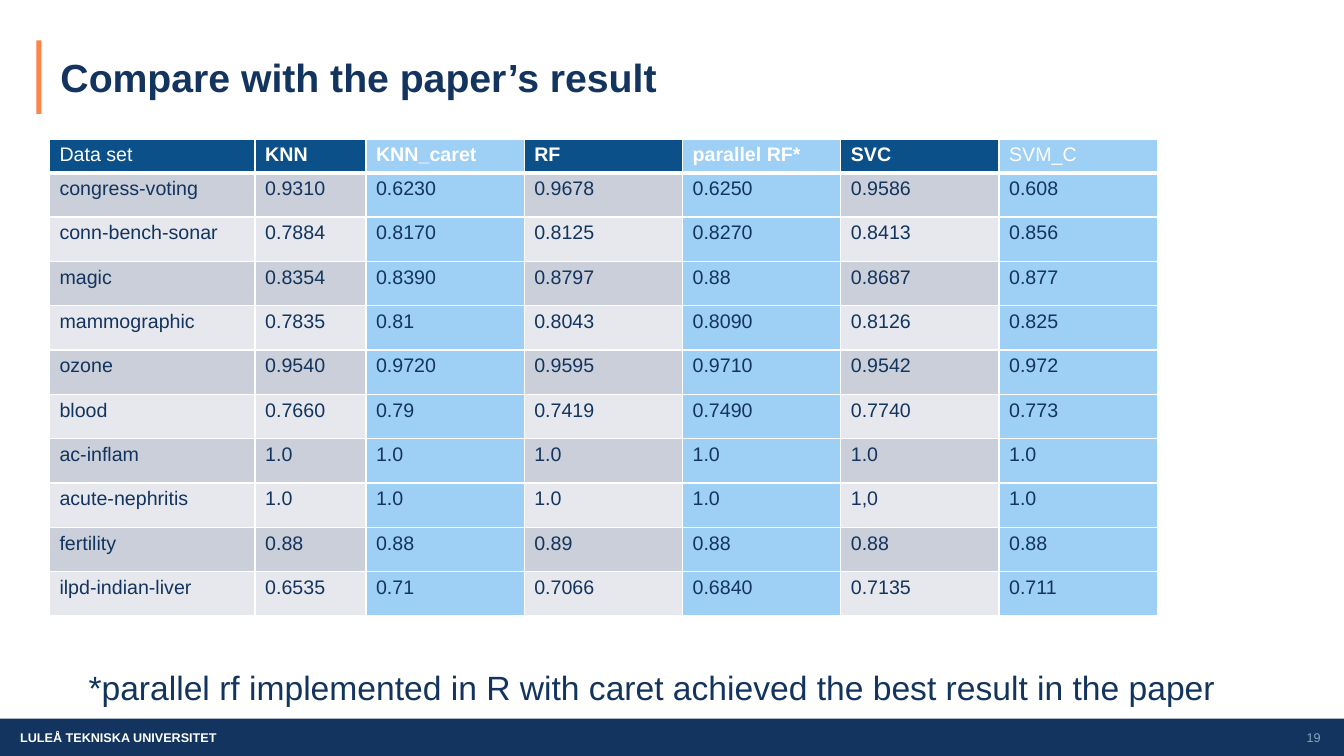
from lxml.etree import SubElement
from pptx import Presentation
from pptx.dml.color import RGBColor
from pptx.enum.shapes import MSO_SHAPE
from pptx.enum.text import MSO_ANCHOR, PP_ALIGN
from pptx.oxml.ns import qn
from pptx.util import Inches, Pt

NAVY = RGBColor(0x13, 0x34, 0x5E)
ORANGE = RGBColor(0xFF, 0x82, 0x47)
WHITE = RGBColor(0xFF, 0xFF, 0xFF)
PAGE_GREY = RGBColor(0x88, 0xA5, 0xBD)
HEADER_BLUE = RGBColor(0x0C, 0x50, 0x89)
OWN_RESULT_BLUE = RGBColor(0x9E, 0xCF, 0xF5)
BANDS = (RGBColor(0xCA, 0xCF, 0xD9), RGBColor(0xE6, 0xE8, 0xED))

HEADERS = ["Data set", "KNN", "KNN_caret", "RF", "parallel RF*", "SVC", "SVM_C"]
LIGHT_HEADERS = {"Data set", "SVM_C"}
OWN_RESULT_COLUMNS = {2, 4, 6}
RESULTS = [
    ["congress-voting", "0.9310", "0.6230", "0.9678", "0.6250", "0.9586", "0.608"],
    ["conn-bench-sonar", "0.7884", "0.8170", "0.8125", "0.8270", "0.8413", "0.856"],
    ["magic", "0.8354", "0.8390", "0.8797", "0.88", "0.8687", "0.877"],
    ["mammographic", "0.7835", "0.81", "0.8043", "0.8090", "0.8126", "0.825"],
    ["ozone", "0.9540", "0.9720", "0.9595", "0.9710", "0.9542", "0.972"],
    ["blood", "0.7660", "0.79", "0.7419", "0.7490", "0.7740", "0.773"],
    ["ac-inflam", "1.0", "1.0", "1.0", "1.0", "1.0", "1.0"],
    ["acute-nephritis", "1.0", "1.0", "1.0", "1.0", "1,0", "1.0"],
    ["fertility", "0.88", "0.88", "0.89", "0.88", "0.88", "0.88"],
    ["ilpd-indian-liver", "0.6535", "0.71", "0.7066", "0.6840", "0.7135", "0.711"],
]
COLUMN_WIDTHS = [2.04, 1.1] + [1.57] * 5
ROW_HEIGHTS = [0.32] + [0.44] * len(RESULTS)


class SlideBuilder:
    def __init__(self, slide, font_name):
        self.slide = slide
        self.font_name = font_name

    def format_paragraph(self, paragraph, size, color, bold=False):
        font = paragraph.font
        font.name = self.font_name
        font.size = Pt(size)
        font.bold = bold
        font.color.rgb = color

    def add_title(self, text, left, top, width, height):
        title = self.slide.shapes.title
        title.left, title.top = Inches(left), Inches(top)
        title.width, title.height = Inches(width), Inches(height)
        frame = title.text_frame
        frame.text = text
        frame.margin_left = 0
        frame.vertical_anchor = MSO_ANCHOR.MIDDLE
        paragraph = frame.paragraphs[0]
        paragraph.alignment = PP_ALIGN.LEFT
        paragraph.line_spacing = 0.9
        self.format_paragraph(paragraph, 28, NAVY, bold=True)

    def add_bar(self, left, top, width, height, color):
        bar = self.slide.shapes.add_shape(
            MSO_SHAPE.RECTANGLE, Inches(left), Inches(top), Inches(width), Inches(height))
        bar.shadow.inherit = False
        bar.fill.solid()
        bar.fill.fore_color.rgb = color
        bar.line.fill.background()
        return bar

    def add_footer(self, text, left, top, width, height):
        frame = self.add_bar(left, top, width, height, NAVY).text_frame
        frame.text = text
        frame.margin_left = Inches(0.2)
        frame.vertical_anchor = MSO_ANCHOR.MIDDLE
        paragraph = frame.paragraphs[0]
        paragraph.alignment = PP_ALIGN.LEFT
        self.format_paragraph(paragraph, 9, WHITE, bold=True)

    def add_text(self, text, left, top, width, height, size, color,
                 alignment=PP_ALIGN.LEFT, anchor=MSO_ANCHOR.TOP, vertical_margin=0.05):
        box = self.slide.shapes.add_textbox(
            Inches(left), Inches(top), Inches(width), Inches(height))
        frame = box.text_frame
        frame.word_wrap = True
        frame.text = text
        frame.vertical_anchor = anchor
        frame.margin_top = frame.margin_bottom = Inches(vertical_margin)
        paragraph = frame.paragraphs[0]
        paragraph.alignment = alignment
        self.format_paragraph(paragraph, size, color)

    def add_borders(self, cell, top, bottom):
        properties = cell._tc.get_or_add_tcPr()
        for side, width in (("L", 1), ("R", 1), ("T", top), ("B", bottom)):
            line = SubElement(properties, qn(f"a:ln{side}"), w=str(Pt(width)))
            fill = SubElement(line, qn("a:solidFill"))
            SubElement(fill, qn("a:srgbClr"), val=str(WHITE))

    def fill_cell(self, cell, text, row, column):
        is_header = row == 0
        # Borders come before the fill in the cell properties
        self.add_borders(cell, top=3 if row == 1 else 1, bottom=3 if is_header else 1)
        cell.fill.solid()
        if column in OWN_RESULT_COLUMNS:
            color = OWN_RESULT_BLUE
        else:
            color = HEADER_BLUE if is_header else BANDS[(row - 1) % 2]
        cell.fill.fore_color.rgb = color
        cell.text = text
        self.format_paragraph(cell.text_frame.paragraphs[0], 14,
                              WHITE if is_header else NAVY,
                              bold=is_header and text not in LIGHT_HEADERS)

    def add_results_table(self, rows, left, top):
        frame = self.slide.shapes.add_table(
            len(rows), len(rows[0]), Inches(left), Inches(top),
            Inches(sum(COLUMN_WIDTHS)), Inches(sum(ROW_HEIGHTS)))
        table = frame.table
        for column, width in zip(table.columns, COLUMN_WIDTHS):
            column.width = Inches(width)
        for row, height in zip(table.rows, ROW_HEIGHTS):
            row.height = Inches(height)
        for row_index, values in enumerate(rows):
            for column_index, text in enumerate(values):
                self.fill_cell(table.cell(row_index, column_index), text,
                               row_index, column_index)


def main():
    presentation = Presentation()
    presentation.slide_width = Inches(13.33)
    presentation.slide_height = Inches(7.5)
    slide = presentation.slides.add_slide(presentation.slide_layouts[5])
    builder = SlideBuilder(slide, "Arial")

    # Footer and title
    builder.add_footer("LULEÅ TEKNISKA UNIVERSITET", 0, 7.13, 13.33, 0.37)
    builder.add_bar(0.36, 0.4, 0.05, 0.73, ORANGE)
    builder.add_title("Compare with the paper’s result", 0.6, 0.28, 9.99, 1.02)
    builder.add_text("19", 12.73, 7.12, 0.6, 0.4, 9, PAGE_GREY,
                     PP_ALIGN.CENTER, MSO_ANCHOR.MIDDLE)

    # Results and footnote
    builder.add_results_table([HEADERS] + RESULTS, 0.49, 1.38)
    builder.add_text(
        "*parallel rf implemented in R with caret achieved the best result in the paper",
        0.78, 6.52, 12.27, 0.61, 24, NAVY, vertical_margin=0.1)

    presentation.save("out.pptx")


if __name__ == "__main__":
    main()
